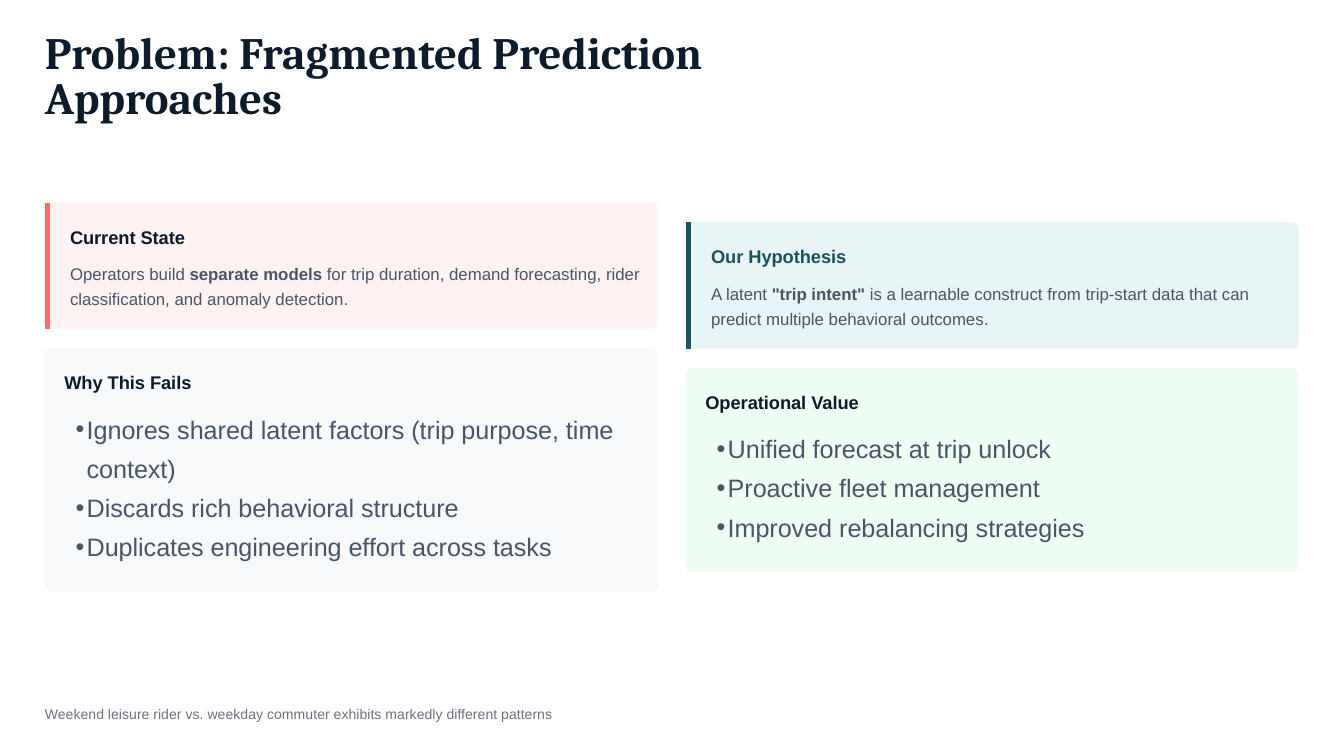
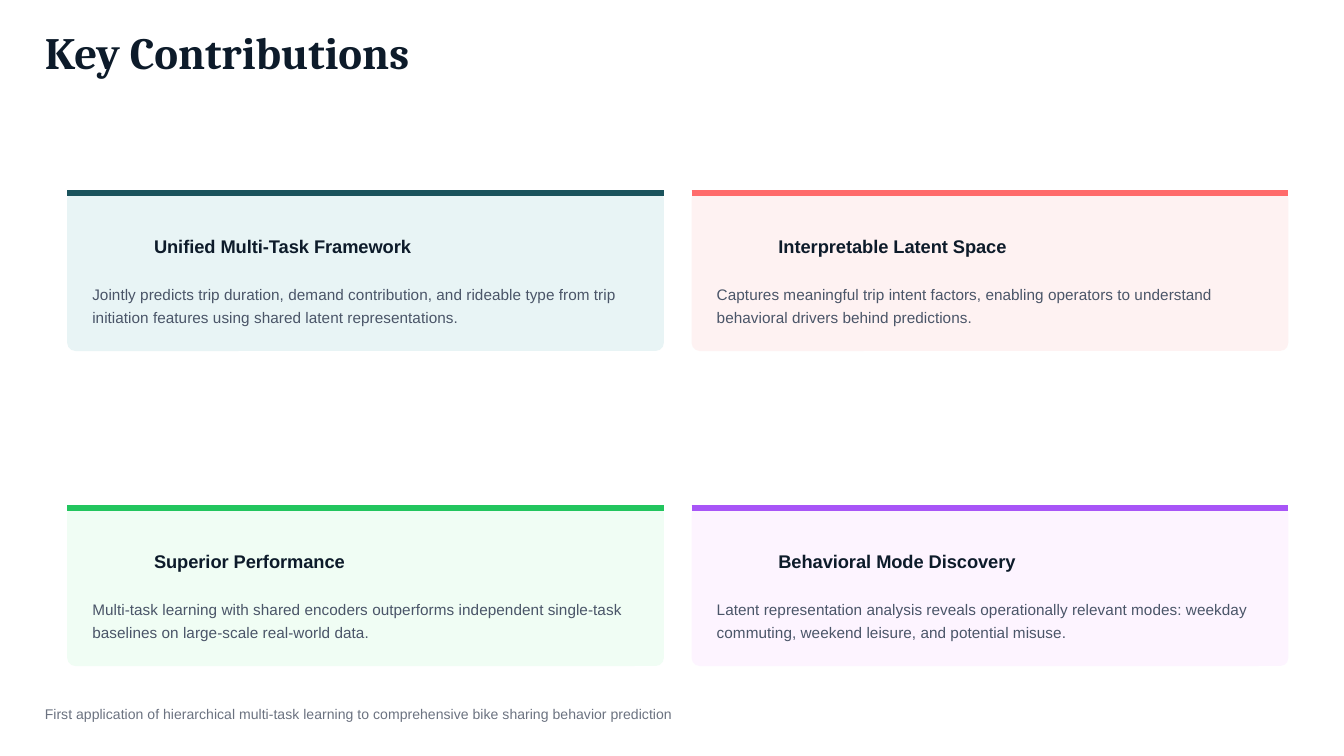
from pptx import Presentation
from pptx.dml.color import RGBColor as Rgb
from pptx.enum.shapes import MSO_CONNECTOR as Conn, MSO_SHAPE as Kind
from pptx.oxml.ns import qn
from pptx.util import Inches, Pt
from lxml.etree import SubElement as Sub

# Grid: 100 columns across, rows of the same pitch down
COLS, ROWS = 100, 56.25
UNIT = 0.1
EDGE = 3.33

HUES = {
    "ink": "0D1B2A", "body": "4A5568", "note": "6B7280", "white": "FFFFFF",
    "teal": "1A535C", "coral": "FF6B6B", "green": "22C55E", "violet": "A855F7",
    "ice": "E8F4F5", "blush": "FEF2F2", "mint": "F0FDF4", "lilac": "FDF4FF",
    "mist": "F7F9FA",
}

# Text styles: font, size, colour, bold, line pitch, space after
STYLES = {
    "title": ("Cambria", 24, "ink", True, 24, 0),
    "head": ("Arial", 9.75, "ink", True, 13.65, 6),
    "label": ("Arial", 9.75, "ink", True, 13.65, 0),
    "body": ("Arial", 9, "body", False, 13.5, 0),
    "small": ("Arial", 8.25, "body", False, 12.38, 0),
    "list": ("Arial", 13.5, "body", False, 21, 0),
    "foot": ("Arial", 7.5, "note", False, 10.5, 0),
}


def grid(n):
    return Inches(round(n * UNIT, 4))


def tint(name):
    return Rgb.from_string(HUES[name])


class Deck:
    def __init__(self):
        self.prs = Presentation()
        self.prs.slide_width = grid(COLS)
        self.prs.slide_height = grid(ROWS)

    def page(self, title, width, foot):
        self.slide = self.prs.slides.add_slide(self.prs.slide_layouts[6])
        fill = self.slide.background.fill
        fill.solid()
        fill.fore_color.rgb = tint("white")
        self.text(EDGE, 2.5, width, 3.33, "title", [title])
        self.foot = foot

    def close(self):
        self.text(EDGE, 52.3, 95.2, 1.5, "foot", [self.foot])

    def text(self, x, y, w, h, style, paras, hue=None, dots=False):
        """Each paragraph is a string or a list of (text, bold) runs."""
        font, size, base, bold, pitch, after = STYLES[style]
        box = self.slide.shapes.add_textbox(*map(grid, (x, y, w, h)))
        frame = box.text_frame
        frame.word_wrap = True
        frame.margin_left = grid(0.83 if dots else 0)
        frame.margin_top = frame.margin_right = frame.margin_bottom = 0
        for i, para in enumerate(paras):
            p = frame.paragraphs[0] if i == 0 else frame.add_paragraph()
            p.line_spacing = Pt(pitch)
            p.space_after = Pt(after)
            if dots:
                props = p._p.get_or_add_pPr()
                props.set("marL", str(grid(0.83)))
                props.set("indent", str(-grid(0.83)))
                Sub(props, qn("a:buFont")).set("typeface", font)
                Sub(props, qn("a:buChar")).set("char", "•")
            for words, strong in [(para, bold)] if isinstance(para, str) else para:
                run = p.add_run()
                run.text = words
                run.font.name = font
                run.font.size = Pt(size)
                run.font.bold = strong
                run.font.color.rgb = tint(hue or base)

    def card(self, x, y, w, h, fill, curve):
        box = self.slide.shapes.add_shape(
            Kind.ROUNDED_RECTANGLE, *map(grid, (x, y, w, h)))
        box.adjustments[0] = curve / min(w, h)
        box.shadow.inherit = False
        box.fill.solid()
        box.fill.fore_color.rgb = tint(fill)
        box.line.fill.background()

    def bar(self, x1, y1, x2, y2, hue):
        line = self.slide.shapes.add_connector(
            Conn.STRAIGHT, *map(grid, (x1, y1, x2, y2)))
        line.line.color.rgb = tint(hue)
        line.line.width = Pt(3)
        Sub(line._element.spPr, qn("a:effectLst"))

    def claim(self, x, y, fill, hue, head, runs, shade):
        """Callout with a bar down its left side."""
        self.card(x, y, 45.6, 9.4, fill, 0.41)
        self.bar(x + 0.21, y, x + 0.21, y + 9.4, hue)
        self.text(x + 1.88, y + 1.46, 43.1, 1.9, "head", [head], shade)
        self.text(x + 1.88, y + 4.17, 43.1, 3.8, "body", [runs])

    def points(self, x, y, h, fill, head, items):
        """Card with a heading and a bullet list."""
        self.card(x, y, 45.6, h, fill, 0.41)
        self.text(x + 1.46, y + 1.46, 43.6, 1.9, "head", [head])
        self.text(x + 1.46, y + 4.2, 42.7, h - 5.6, "list", items, dots=True)

    def gain(self, x, y, fill, hue, head, width, body):
        """Card with a bar along its top."""
        self.card(x, y, 44.4, 11.95, fill, 0.62)
        self.bar(x, y + 0.21, x + 44.4, y + 0.21, hue)
        self.text(x + 6.46, y + 3.03, width, 1.9, "label", [head])
        self.text(x + 1.87, y + 6.67, 41.4, 3.4, "small", [body])


def main():
    deck = Deck()

    # Slide 1: problem, two stacks of a callout above a list
    deck.page("Problem: Fragmented Prediction Approaches", 66.1,
              "Weekend leisure rider vs. weekday commuter exhibits markedly "
              "different patterns")
    stacks = [
        (15.08, "blush", "coral", "Current State", "ink",
         [("Operators build ", False), ("separate models", True),
          (" for trip duration, demand forecasting, rider classification, "
           "and anomaly detection.", False)],
         18.1, "mist", "Why This Fails",
         ["Ignores shared latent factors (trip purpose, time context)",
          "Discards rich behavioral structure",
          "Duplicates engineering effort across tasks"]),
        (16.54, "ice", "teal", "Our Hypothesis", "teal",
         [("A latent ", False), ('"trip intent"', True),
          (" is a learnable construct from trip-start data that can predict "
           "multiple behavioral outcomes.", False)],
         15.2, "mint", "Operational Value",
         ["Unified forecast at trip unlock",
          "Proactive fleet management",
          "Improved rebalancing strategies"]),
    ]
    for i, (y, fill, hue, head, shade, runs, h, back, name, items) in enumerate(stacks):
        x = EDGE + i * 47.7
        deck.claim(x, y, fill, hue, head, runs, shade)
        deck.points(x, y + 10.85, h, back, name, items)
    deck.close()

    # Slide 2: contributions, two by two
    deck.page("Key Contributions", 47.9,
              "First application of hierarchical multi-task learning to "
              "comprehensive bike sharing behavior prediction")
    gains = [
        ("ice", "teal", "Unified Multi-Task Framework", 19.5,
         "Jointly predicts trip duration, demand contribution, and rideable "
         "type from trip initiation features using shared latent "
         "representations."),
        ("blush", "coral", "Interpretable Latent Space", 17.3,
         "Captures meaningful trip intent factors, enabling operators to "
         "understand behavioral drivers behind predictions."),
        ("mint", "green", "Superior Performance", 14.5,
         "Multi-task learning with shared encoders outperforms independent "
         "single-task baselines on large-scale real-world data."),
        ("lilac", "violet", "Behavioral Mode Discovery", 18,
         "Latent representation analysis reveals operationally relevant "
         "modes: weekday commuting, weekend leisure, and potential misuse."),
    ]
    for i, gain in enumerate(gains):
        row, col = divmod(i, 2)
        deck.gain(5 + col * 46.46, 14.17 + row * 23.44, *gain)
    deck.close()

    deck.prs.save("out.pptx")


if __name__ == "__main__":
    main()
